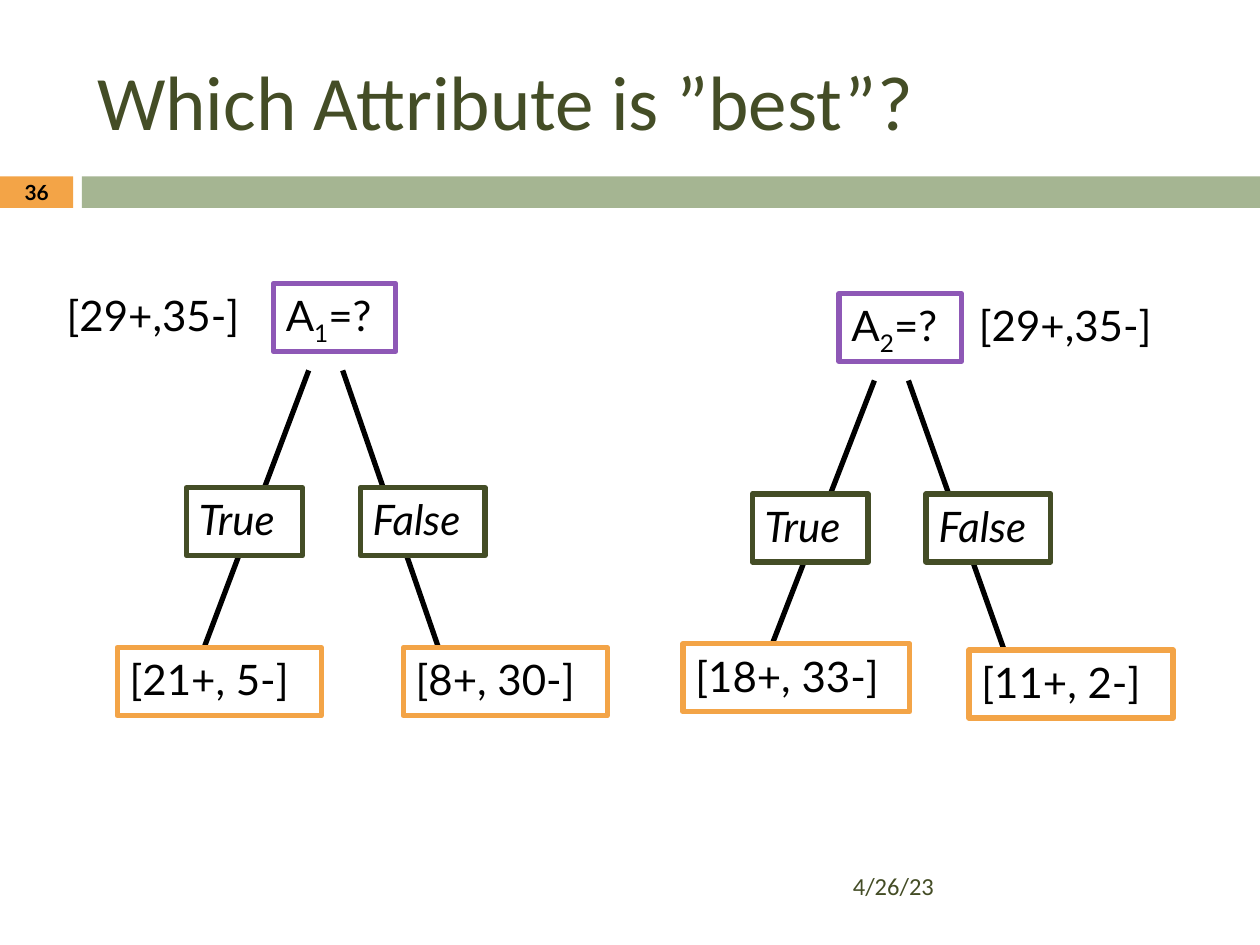
"""Build a slide that compares two candidate attributes as decision trees."""
from dataclasses import dataclass
from typing import NamedTuple

from lxml.etree import SubElement
from pptx import Presentation
from pptx.dml.color import RGBColor as Rgb
from pptx.enum.shapes import MSO_CONNECTOR as Connector, MSO_SHAPE as Preset
from pptx.enum.text import MSO_ANCHOR as Anchor, PP_ALIGN as Align
from pptx.oxml.ns import qn
from pptx.util import Inches, Pt

COLUMNS, ROWS = 100, 75
BLACK, WHITE, OLIVE = "000000", "FFFFFF", "444D26"
ORANGE, SAGE, PURPLE = "F3A447", "A5B592", "8E58B6"
BODY = {"name": "Lato", "size": Pt(24)}
ANSWER = BODY | {"italic": True}
HEADING = {"name": "Calibri", "size": Pt(44)}
DATE = {"name": "Calibri", "size": Pt(14)}
NUMBER = {"name": "Lato", "size": Pt(11.9), "bold": True}
BOX_HEIGHT = 5.4


class Area(NamedTuple):
    """A rectangle in grid columns and rows."""
    left: float
    top: float
    width: float
    height: float


class Leaf(NamedTuple):
    """The example counts at the end of a branch."""
    label: str
    top: float
    width: float


@dataclass
class Tree:
    """A one-question decision tree placed by its root box."""
    subscript: str
    left: float
    top: float
    count_left: float
    answer_top: float
    branch_end: float
    leaves: tuple[Leaf, Leaf]


TREES = (
    Tree("1", 21.7, 22.5, 4.3, 38.7, 51.4,
         (Leaf("[21+, 5-]", 51.4, 16.2), Leaf("[8+, 30-]", 51.4, 16.2))),
    Tree("2", 66.6, 23.3, 76.7, 39.2, 51.6,
         (Leaf("[18+, 33-]", 51.1, 18), Leaf("[11+, 2-]", 51.6, 16.2))),
)


class Branch(NamedTuple):
    """One side of a tree, as column offsets from the root box."""
    answer: str
    start: float
    end: float
    answer_left: float
    answer_width: float
    leaf_left: float


BRANCHES = (
    Branch("True", 2.8, -5.5, -6.9, 9.2, -12.4),
    Branch("False", 5.5, 13.1, 6.9, 9.9, 10.3),
)

deck = Presentation()
deck.slide_width, deck.slide_height = Inches(10), Inches(7.5)


def color(value: str) -> Rgb:
    """Turn a hex string into a colour."""
    return Rgb.from_string(value)


def across(columns: float) -> int:
    """Convert grid columns to a length."""
    return round(deck.slide_width * columns / COLUMNS)


def down(rows: float) -> int:
    """Convert grid rows to a length."""
    return round(deck.slide_height * rows / ROWS)


def place(area: Area) -> tuple[int, int, int, int]:
    """Convert a grid area to slide lengths."""
    return across(area.left), down(area.top), across(area.width), down(area.height)


def write(shape, parts: tuple[str, ...], style: dict, ink: str = BLACK,
          align: Align = Align.LEFT, anchor: Anchor = Anchor.TOP) -> None:
    """Write one styled paragraph made of several spans."""
    frame = shape.text_frame
    frame.word_wrap, frame.vertical_anchor = True, anchor
    para = frame.paragraphs[0]
    para.alignment = align
    for part in parts:
        span = para.add_run()
        span.text = part
        for name, value in style.items():
            setattr(span.font, name, value)
        span.font.color.rgb = color(ink)


def add_label(shapes, area: Area, text: str, style: dict, **layout) -> None:
    """Add plain text without a frame."""
    write(shapes.add_textbox(*place(area)), (text,), style, **layout)


def add_box(shapes, area: Area, fill: str, outline: str | None = None):
    """Add a flat rectangle, outlined when a colour is given."""
    box = shapes.add_shape(Preset.RECTANGLE, *place(area))
    box.shadow.inherit = False
    box.fill.solid()
    box.fill.fore_color.rgb = color(fill)
    if outline:
        box.line.color.rgb = color(outline)
        box.line.width = Pt(3)
    else:
        box.line.fill.background()
    return box


def add_line(shapes, start: tuple[float, float], end: tuple[float, float]) -> None:
    """Add a straight black branch line."""
    line = shapes.add_connector(Connector.STRAIGHT, across(start[0]), down(start[1]),
                                across(end[0]), down(end[1]))
    line.line.color.rgb = color(BLACK)
    line.line.width = Pt(3)
    SubElement(line.element.spPr, qn("a:effectLst"))


def add_tree(page, tree: Tree) -> None:
    """Draw a tree as one group: lines, root, answers, leaves and total."""
    shapes = page.shapes.add_group_shape().shapes
    for branch in BRANCHES:
        add_line(shapes, (tree.left + branch.start, tree.top + 6.9),
                 (tree.left + branch.end, tree.branch_end))

    root = add_box(shapes, Area(tree.left, tree.top, 9.7, BOX_HEIGHT), WHITE, PURPLE)
    write(root, ("A", tree.subscript, "=?"), BODY)
    list(root.element.iter(qn("a:rPr")))[1].set("baseline", "-25000")

    for branch, leaf in zip(BRANCHES, tree.leaves):
        answer = Area(tree.left + branch.answer_left, tree.answer_top,
                      branch.answer_width, BOX_HEIGHT)
        write(add_box(shapes, answer, WHITE, OLIVE), (branch.answer,), ANSWER)
        counts = Area(tree.left + branch.leaf_left, leaf.top, leaf.width, BOX_HEIGHT)
        write(add_box(shapes, counts, WHITE, ORANGE), (leaf.label,), BODY)

    add_label(shapes, Area(tree.count_left, tree.top, 16.5, 5), "[29+,35-]", BODY)


def main() -> None:
    """Build and save the slide."""
    page = deck.slides.add_slide(deck.slide_layouts[5])
    title = page.shapes.title
    title.left, title.top, title.width, title.height = place(Area(6.7, 2.5, 89.2, 10.8))
    write(title, ("Which Attribute is ”best”?",), HEADING, OLIVE, anchor=Anchor.MIDDLE)

    add_box(page.shapes, Area(0, 14, 5.8, 2.5), ORANGE)
    add_box(page.shapes, Area(6.5, 14, 93.5, 2.5), SAGE)
    for tree in TREES:
        add_tree(page, tree)

    add_label(page.shapes, Area(0, 13.9, 5.8, 2.7), "36", NUMBER,
              align=Align.CENTER, anchor=Anchor.MIDDLE)
    add_label(page.shapes, Area(66.7, 68.3, 29.2, 4), "4/26/23", DATE,
              ink=OLIVE, anchor=Anchor.MIDDLE)
    deck.save("out.pptx")


if __name__ == "__main__":
    main()
